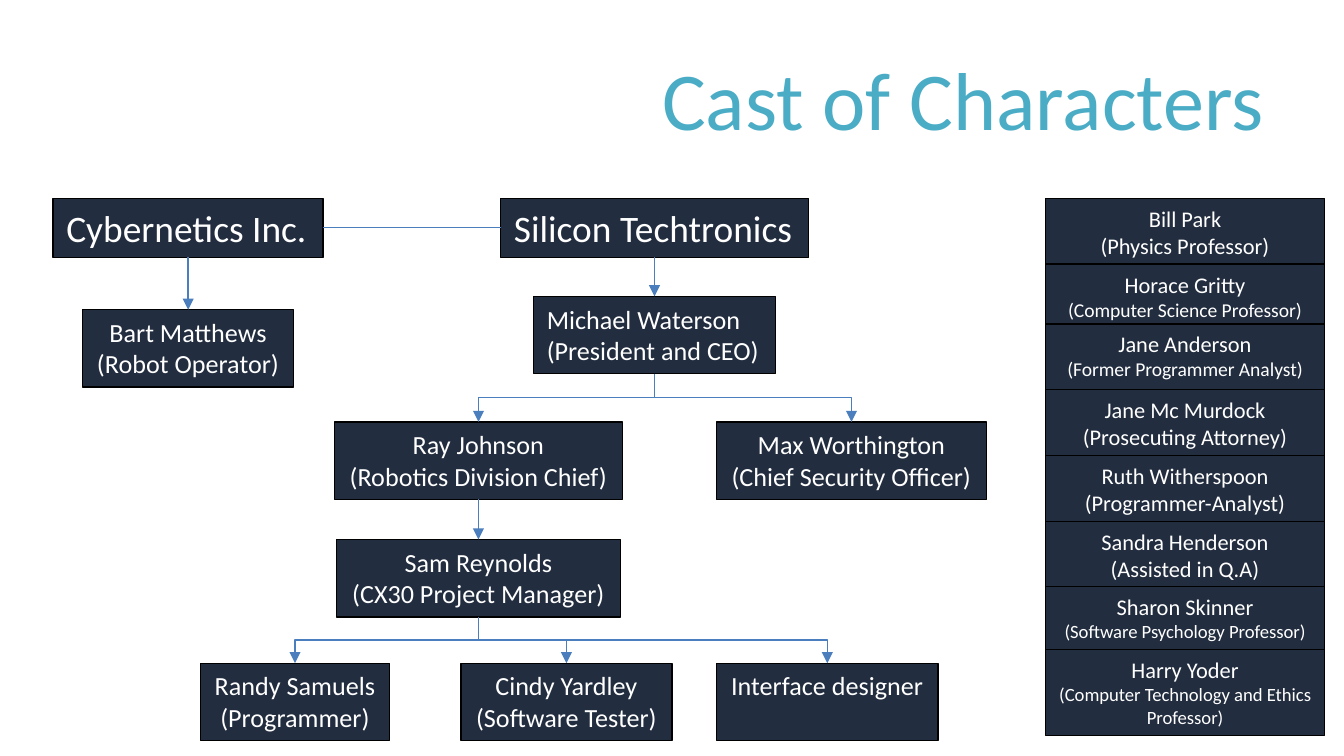
from lxml.etree import SubElement
from pptx import Presentation
from pptx.dml.color import RGBColor
from pptx.enum.shapes import MSO_CONNECTOR, MSO_SHAPE
from pptx.enum.text import MSO_ANCHOR, PP_ALIGN
from pptx.oxml.ns import qn
from pptx.util import Pt

PX = 4572  # 200 px to the inch
NAVY = RGBColor(0x22, 0x2D, 0x3F)
BLACK = RGBColor(0, 0, 0)
WHITE = RGBColor(0xFF, 0xFF, 0xFF)
TEAL = RGBColor(0x4B, 0xAC, 0xC6)
BLUE = RGBColor(0x4B, 0x7E, 0xBC)
FONT = "Calibri"
TOP, LEFT, BOTTOM, RIGHT = range(4)  # connection sites of a rectangle

# key: centre x, top, width, height, text size, alignment, lines
STAFF = {
    "cybernetics": (200, 0, 402, 88, 20, PP_ALIGN.LEFT, ["Cybernetics Inc."]),
    "bart": (200, 166, 314, 115, 14, PP_ALIGN.CENTER, ["Bart Matthews", "(Robot Operator)"]),
    "silicon": (894, 0, 458, 88, 20, PP_ALIGN.LEFT, ["Silicon Techtronics"]),
    "michael": (894, 146, 360, 115, 14, PP_ALIGN.LEFT, ["Michael Waterson", "(President and CEO)"]),
    "ray": (632, 333, 428, 115, 14, PP_ALIGN.CENTER, ["Ray Johnson", "(Robotics Division Chief)"]),
    "max": (1187, 333, 402, 115, 14, PP_ALIGN.CENTER, ["Max Worthington", "(Chief Security Officer)"]),
    "sam": (632, 508, 422, 115, 14, PP_ALIGN.CENTER, ["Sam Reynolds", "(CX30 Project Manager)"]),
    "randy": (359, 692, 282, 115, 14, PP_ALIGN.CENTER, ["Randy Samuels", "(Programmer)"]),
    "cindy": (763, 692, 314, 115, 14, PP_ALIGN.CENTER, ["Cindy Yardley", "(Software Tester)"]),
    "designer": (1151, 692, 330, 115, 14, PP_ALIGN.CENTER, ["Interface designer"]),
}
REPORTS = [
    ("cybernetics", "bart"), ("silicon", "michael"), ("michael", "ray"), ("michael", "max"),
    ("ray", "sam"), ("sam", "randy"), ("sam", "cindy"), ("sam", "designer"),
]
# name, role, role text size, row height
OTHERS = [
    ("Bill Park", "(Physics Professor)", 12, 98),
    ("Horace Gritty", "(Computer Science Professor)", 10.5, 89),
    ("Jane Anderson", "(Former Programmer Analyst)", 10.5, 98),
    ("Jane Mc Murdock", "(Prosecuting Attorney)", 12, 98),
    ("Ruth Witherspoon", "(Programmer-Analyst)", 12, 98),
    ("Sandra Henderson", "(Assisted in Q.A)", 12, 97),
    ("Sharon Skinner", "(Software Psychology Professor)", 10, 94),
    ("Harry Yoder", "(Computer Technology and Ethics Professor)", 10, 128),
]


def write(tf, lines, color, align):
    """Fill a text frame with one paragraph for each (text, size)."""
    for i, (text, size) in enumerate(lines):
        p = tf.paragraphs[0] if i == 0 else tf.add_paragraph()
        p.alignment = align
        r = p.add_run()
        r.text = text
        for name, value in {"name": FONT, "size": Pt(size)}.items():
            setattr(r.font, name, value)
        r.font.color.rgb = color


def add_card(s, x, y, w, h, lines, align=PP_ALIGN.CENTER, wrap=True):
    sp = s.shapes.add_shape(MSO_SHAPE.RECTANGLE, x * PX, y * PX, w * PX, h * PX)
    sp.shadow.inherit = False
    sp.fill.solid()
    sp.fill.fore_color.rgb = NAVY
    sp.line.color.rgb = BLACK
    sp.line.width = Pt(0.75)
    for name, value in {"word_wrap": wrap, "vertical_anchor": MSO_ANCHOR.TOP}.items():
        setattr(sp.text_frame, name, value)
    write(sp.text_frame, lines, WHITE, align)
    return sp


def link(s, start, end, sites=(BOTTOM, TOP), arrow=True):
    """Join two cards; a downward link bends when their centres differ."""
    cxn = s.shapes.add_connector(MSO_CONNECTOR.STRAIGHT, 0, 0, 0, 0)
    cxn.begin_connect(start, sites[0])
    cxn.end_connect(end, sites[1])
    dx, dy = cxn.end_x - cxn.begin_x, cxn.end_y - cxn.begin_y
    if dx and dy:
        mid_x, mid_y = cxn.begin_x + dx // 2, cxn.begin_y + dy // 2
        spPr = cxn._element.spPr
        spPr.find(qn("a:prstGeom")).set("prst", "bentConnector3")
        frame = {"left": mid_x - dy // 2, "top": mid_y - abs(dx) // 2,
                 "width": dy, "height": abs(dx)}
        for name, value in frame.items():
            setattr(cxn, name, value)
        xfrm = spPr.find(qn("a:xfrm"))
        xfrm.set("rot", str((90 if dx < 0 else 270) * 60000))
        xfrm.set("flipH", "0" if dx < 0 else "1")
    cxn.line.color.rgb = BLUE
    cxn.line.width = Pt(0.75)
    if arrow:
        SubElement(cxn.line._get_or_add_ln(), qn("a:tailEnd"), type="triangle")
    SubElement(cxn._element.spPr, qn("a:effectLst"))


def add_title(s, x, y, w, h):
    tf = s.shapes.add_textbox(x * PX, y * PX, w * PX, h * PX).text_frame
    tf.word_wrap = True
    tf.vertical_anchor = MSO_ANCHOR.MIDDLE
    write(tf, [("Cast of Characters", 44)], TEAL, PP_ALIGN.RIGHT)


def add_org_chart(s, x, y):
    cards = {}
    for key, (cx, top, w, h, size, align, lines) in STAFF.items():
        cards[key] = add_card(s, x + cx - w // 2, y + top, w, h,
                              [(text, size) for text in lines], align, wrap=False)
    link(s, cards["cybernetics"], cards["silicon"], (RIGHT, LEFT), arrow=False)
    for boss, report in REPORTS:
        link(s, cards[boss], cards[report])


def add_others(s, x, y, w):
    """Stack the remaining people, each card sharing an edge with the next."""
    for name, role, size, h in OTHERS:
        add_card(s, x, y, w, h, [(name, 12), (role, size)])
        y += h


def main():
    prs = Presentation()
    prs.slide_width, prs.slide_height = 2000 * PX, 1125 * PX
    s = prs.slides.add_slide(prs.slide_layouts[6])
    add_title(s, 98, 62, 1803, 168)
    add_org_chart(s, 80, 295)
    add_others(s, 1556, 295, 415)
    prs.save("out.pptx")


if __name__ == "__main__":
    main()
